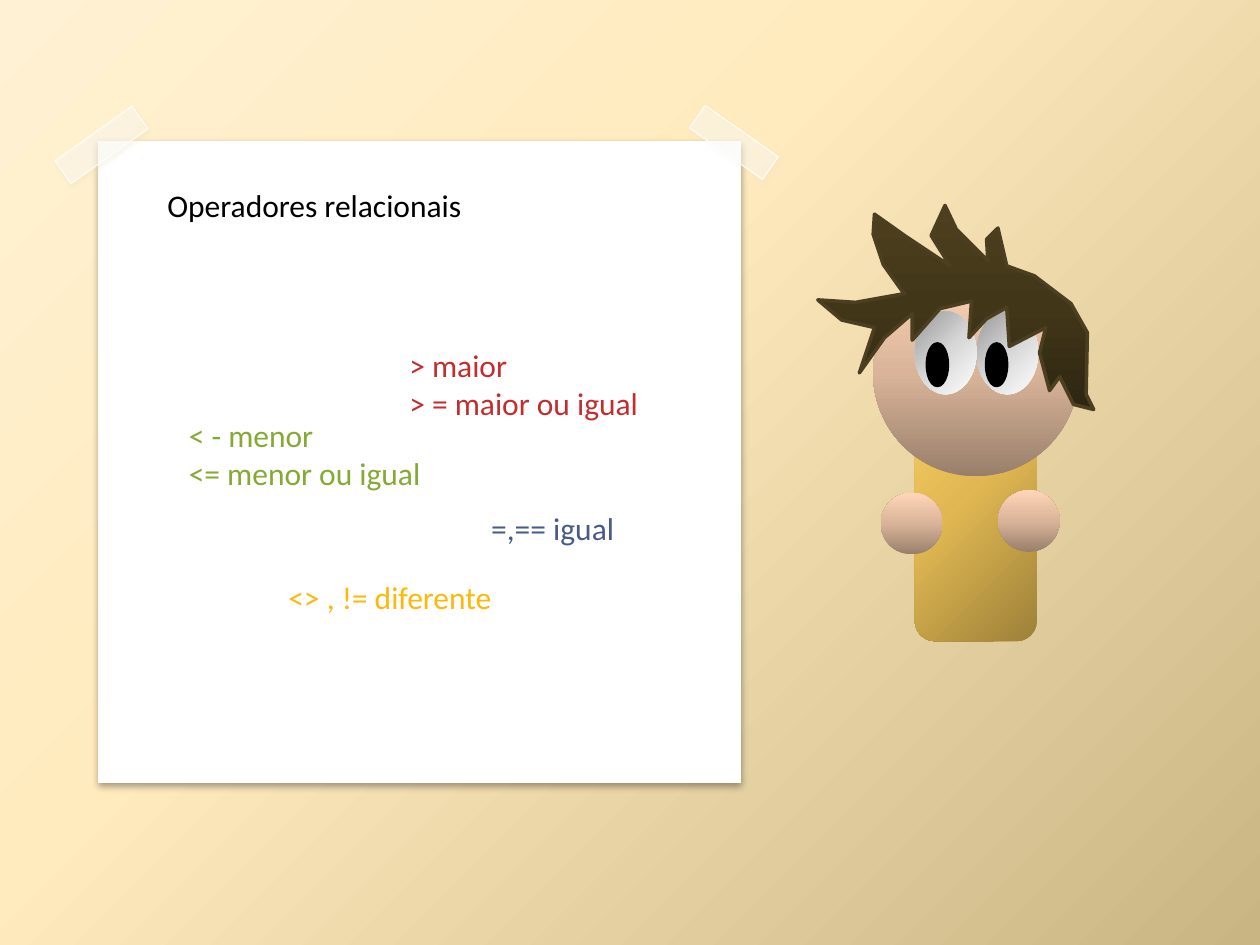
from lxml import etree
from pptx import Presentation
from pptx.dml.color import RGBColor
from pptx.enum.shapes import MSO_SHAPE as Preset
from pptx.enum.text import MSO_AUTO_SIZE as AutoSize
from pptx.oxml import parse_xml
from pptx.oxml.ns import nsdecls, qn
from pptx.util import Inches, Pt

SKIN = [(0, "997F6B"), (50, "D9B499"), (100, "FFD6B8")]
SHIRT = [(0, "9D8139"), (50, "E0B752"), (100, "FFD56B")]
EYE = [(0, "979797"), (50, "D7D7D7"), (100, "FFFFFF")]
HAIR = [(0, "2E2612"), (50, "423619"), (100, "4E401E")]
BACKDROP = [(0, "FFF1D3"), (40, "FFEBBE"), (100, "C9B484")]

HAIR_OUTLINE = [
    (7.16, 2.31), (7.01, 2.1), (6.93, 1.86), (6.94, 1.7), (7.18, 1.87), (7.54, 2.11),
    (7.39, 1.87), (7.5, 1.63), (7.59, 1.82), (7.84, 2.07), (7.83, 1.9), (7.92, 1.81),
    (7.99, 2.11), (8.21, 2.19), (8.5, 2.41), (8.63, 2.64), (8.62, 3.13), (8.68, 3.25),
    (8.52, 3.21), (8.41, 2.99), (8.33, 3.1), (8.25, 2.8), (8.3, 2.6), (8.01, 2.75),
    (7.99, 2.44), (7.83, 2.53), (7.69, 2.68), (7.71, 2.39), (7.46, 2.45), (7.24, 2.7),
    (7.24, 2.49), (7.02, 2.68), (6.82, 2.96), (6.94, 2.6), (6.68, 2.54), (6.49, 2.38),
    (6.79, 2.4), (7.18, 2.33),
]


def color(value):
    return RGBColor.from_string(value)


def gradient(stops, angle=None, focus=None):
    marks = "".join(
        f'<a:gs pos="{place * 1000}"><a:srgbClr val="{value}"/></a:gs>' for place, value in stops
    )
    if focus:
        sides = " ".join(f'{side}="{share * 1000}"' for side, share in zip("ltrb", focus))
        course = f'<a:path path="circle"><a:fillToRect {sides}/></a:path>'
    else:
        course = f'<a:lin ang="{angle * 60000}" scaled="0"/>'
    return parse_xml(
        f'<a:gradFill rotWithShape="1" {nsdecls("a")}><a:gsLst>{marks}</a:gsLst>{course}</a:gradFill>'
    )


class Sketch:
    font_name = "Calibri"
    font_size = Pt(18)

    def __init__(self, slide):
        self.slide = slide

    def background(self, stops, focus):
        self.slide.background.fill.solid()
        solid = next(self.slide.element.iter(qn("a:solidFill")))
        solid.getparent().replace(solid, gradient(stops, focus=focus))

    def paint(self, shape, fill, line=None, **course):
        shape.shadow.inherit = False
        shape.fill.solid()
        if isinstance(fill, str):
            shape.fill.fore_color.rgb = color(fill)
        else:
            solid = shape.element.spPr.find(qn("a:solidFill"))
            shape.element.spPr.replace(solid, gradient(fill, **course))
        if line:
            shape.line.color.rgb = color(line[0])
            shape.line.width = Pt(line[1])
        else:
            shape.line.fill.background()

    def shape(self, preset, box, fill, line=None, **course):
        shape = self.slide.shapes.add_shape(preset, *map(Inches, box))
        self.paint(shape, fill, line, **course)
        return shape

    def shadow(self, shape, value, opacity, blur, distance, direction):
        effects = shape.element.spPr.find(qn("a:effectLst"))
        effects.append(parse_xml(
            f'<a:outerShdw {nsdecls("a")} blurRad="{Pt(blur)}" dist="{Pt(distance)}" '
            f'dir="{direction * 60000}" algn="ctr" rotWithShape="0"><a:srgbClr val="{value}">'
            f'<a:alpha val="{opacity * 1000}"/></a:srgbClr></a:outerShdw>'
        ))

    def paper(self, box):
        shape = self.shape(Preset.RECTANGLE, box, "FFFFFF", ("FFFFFF", 7))
        outline = shape.element.spPr.find(qn("a:ln"))
        etree.SubElement(outline, qn("a:miter"), lim="800000")
        self.shadow(shape, "000000", 35, 4.4, 1.5, 90)

    def tape(self, box, rotation, shade, opacity):
        shape = self.shape(Preset.FLOWCHART_PROCESS, box, "FBFBFB", ("FFFFFF", 0.5))
        shape.rotation = rotation
        value = shape.element.spPr.find(qn("a:solidFill"))[0]
        etree.SubElement(value, qn("a:alpha"), val="45000")
        self.shadow(shape, shade, opacity, 2, 2, 55)

    def ball(self, left, top, width, height):
        self.shape(Preset.OVAL, (left, top, width, height), SKIN, angle=270)

    def eye(self, left, pupil_left):
        self.shape(Preset.OVAL, (left, 2.47, 0.49, 0.66), EYE, focus=(0, 0, 100, 100))
        self.shape(Preset.OVAL, (pupil_left, 2.73, 0.16, 0.33), "000000", ("000000", 2))

    def hair(self, outline):
        points = [(Inches(x), Inches(y)) for x, y in outline]
        builder = self.slide.shapes.build_freeform(*points[0])
        builder.add_line_segments(points[1:], close=True)
        self.paint(builder.convert_to_shape(), HAIR, ("4B3E21", 2), angle=270)

    def text(self, box, lines, value):
        frame = self.slide.shapes.add_textbox(*map(Inches, box)).text_frame
        frame.word_wrap = False
        frame.auto_size = AutoSize.SHAPE_TO_FIT_TEXT
        for index, line in enumerate(lines):
            paragraph = frame.add_paragraph() if index else frame.paragraphs[0]
            paragraph.text = line
            paragraph.font.name = self.font_name
            paragraph.font.size = self.font_size
            paragraph.font.color.rgb = color(value)


def main():
    presentation = Presentation()
    presentation.slide_width, presentation.slide_height = Inches(10), Inches(7.5)
    sketch = Sketch(presentation.slides.add_slide(presentation.slide_layouts[6]))
    sketch.background(BACKDROP, (-24, -20, 124, 120))

    sketch.paper((0.83, 1.17, 5, 5))
    sketch.tape((0.43, 1.04, 0.75, 0.22), 324.5, "EBDAB2", 40)
    sketch.tape((5.47, 1.02, 0.71, 0.22), 35.1, "E7DEC9", 20)

    sketch.shape(Preset.ROUNDED_RECTANGLE, (7.26, 2.63, 0.97, 2.46), SHIRT, angle=225)
    sketch.ball(6.93, 2.14, 1.63, 1.64)
    sketch.eye(7.75, 7.83)
    sketch.eye(7.26, 7.36)
    sketch.hair(HAIR_OUTLINE)
    for left, top in [(6.99, 3.91), (7.92, 3.89)]:
        sketch.ball(left, top, 0.49, 0.49)

    sketch.text((1.23, 1.43, 2.56, 0.4), ["Operadores relacionais"], "000000")
    sketch.text((1.4, 3.25, 2.07, 0.71), ["< - menor", "<= menor ou igual"], "84AA33")
    sketch.text((3.15, 2.7, 2.04, 0.71), ["> maior", "> = maior ou igual"], "C32D2E")
    sketch.text((2.19, 4.54, 1.84, 0.4), ["<> , != diferente"], "FEB80A")
    sketch.text((3.8, 3.99, 1.19, 0.4), ["=,== igual"], "475A8D")
    presentation.save("out.pptx")


if __name__ == "__main__":
    main()
